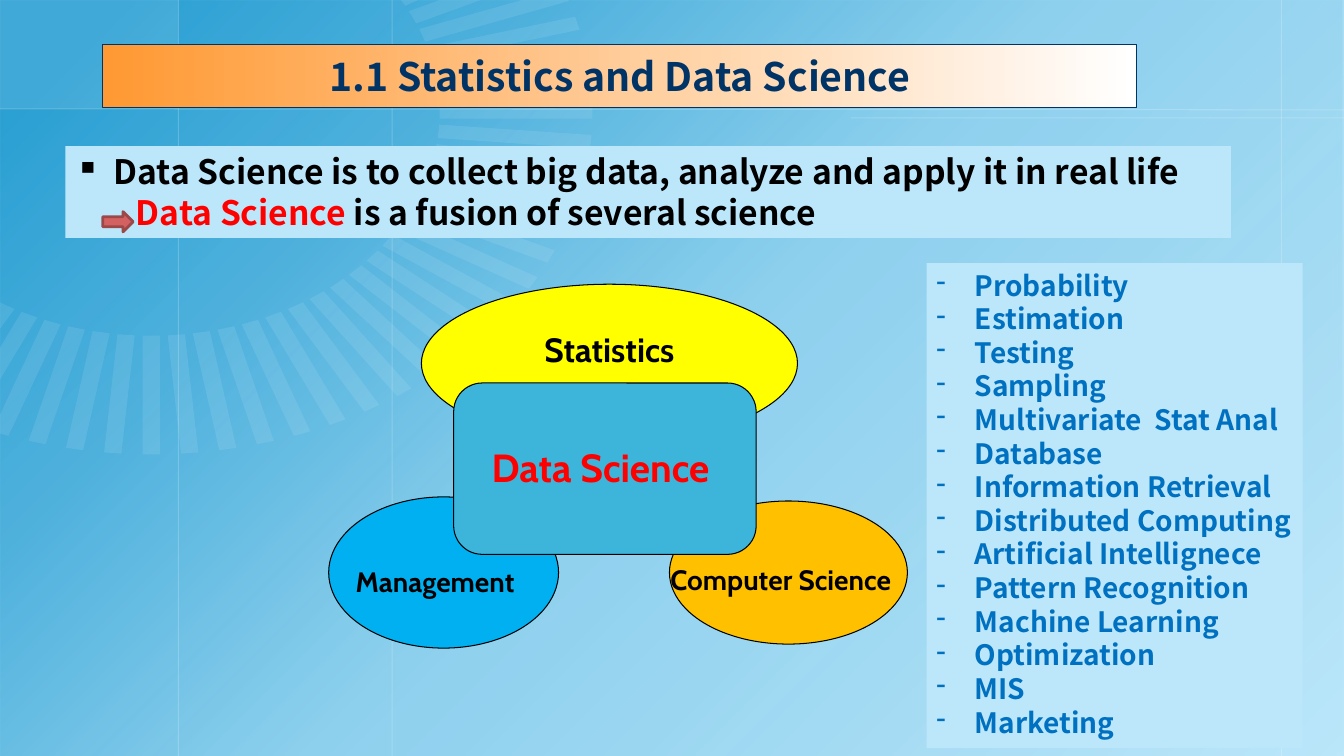
"""Build the slide on statistics and data science."""
import math

import pptx
import pptx.dml.color
import pptx.enum.shapes
import pptx.enum.text
import pptx.oxml
import pptx.oxml.ns
import pptx.util

Inches = pptx.util.Inches
Pt = pptx.util.Pt
SHAPE = pptx.enum.shapes.MSO_SHAPE
ALIGN = pptx.enum.text.PP_ALIGN
ANCHOR = pptx.enum.text.MSO_ANCHOR

THEME = {
    "pale": "BCE7FA", "deep": "0F92CC", "ray": "F2FAFE", "white": "FFFFFF",
    "black": "000000", "red": "FF0000", "navy": "003366", "blue": "0070C0",
    "orange": "FF9933", "yellow": "FFFF00", "sky": "00B0F0", "gold": "FFC000",
    "teal": "3DB5DB", "rose": "D36161", "wine": "9C4848",
    "sans": "Noto Sans CJK KR", "round": "Cabin",
    "big": 28, "mid": 24, "small": 20, "hair": 0.75,
}
WIDE, HIGH = 13.33, 7.5

TITLE = "1.1 Statistics and Data Science"
CLAIM = "Data Science is to collect big data, analyze and apply it in real life"
FUSION = [("Data Science ", "red"), ("is a fusion of several science", "black")]
TOPICS = [
    "Probability", "Estimation", "Testing", "Sampling",
    "Multivariate  Stat Anal", "Database", "Information Retrieval",
    "Distributed Computing", "Artificial Intellignece",
    "Pattern Recognition", "Machine Learning", "Optimization", "MIS",
    "Marketing",
]
FIELDS = [
    (SHAPE.OVAL, (4.18, 2.82, 3.73, 1.57), "yellow"),
    (SHAPE.OVAL, (3.26, 4.93, 2.28, 1.5), "sky"),
    (SHAPE.OVAL, (6.64, 4.97, 2.36, 1.42), "gold"),
    (SHAPE.ROUNDED_RECTANGLE, (4.5, 3.8, 3, 1.7), "teal"),
]
LABELS = [
    ("Statistics", (4.86, 3.21, 2.37, 0.5), "mid", "black", ALIGN.CENTER),
    ("Data Science", (4.5, 4.35, 2.91, 0.57), "big", "red", ALIGN.CENTER),
    ("Management", (3.43, 5.55, 2.02, 0.44), "small", "black", ALIGN.LEFT),
    ("Computer Science", (6.55, 5.53, 2.71, 0.44), "small", "black", ALIGN.LEFT),
]
GUIDES = [(x, 0, x, HIGH) for x in (1.77, 12.71, 3.89)] + [
    (0, 1.08, WIDE, 1.09), (8.44, 1.17, WIDE, 1.17)]
HUB, RADII = (1.5, 1.11), (2.86, 2.22)
REACH, HALF = 1.53, 0.03
ANGLES = [*range(-30, 15, 5), *range(25, 125, 5)]


def tint(name):
    return pptx.dml.color.RGBColor.from_string(THEME[name])


def fade(shape, alpha):
    for color in shape.element.spPr.iter(pptx.oxml.ns.qn("a:srgbClr")):
        color.append(pptx.oxml.parse_xml(
            f'<a:alpha {pptx.oxml.ns.nsdecls("a")} val="{alpha * 1000}"/>'))


def dress(shape, fill=None, line=None, width=THEME["hair"]):
    shape.shadow.inherit = False
    if fill:
        shape.fill.solid()
        shape.fill.fore_color.rgb = tint(fill)
    else:
        shape.fill.background()
    if line:
        shape.line.color.rgb = tint(line)
        shape.line.width = Pt(width)
    else:
        shape.line.fill.background()
    return shape


def block(slide, kind, box, *look):
    return dress(slide.shapes.add_shape(kind, *map(Inches, box)), *look)


def blend(shape, stops, angle):
    marks = "".join(
        f'<a:gs pos="{pos * 1000}"><a:srgbClr val="{THEME[name]}">'
        f'<a:alpha val="{alpha * 1000}"/></a:srgbClr></a:gs>'
        for pos, name, alpha in stops)
    props = shape.element.spPr
    props.replace(props.find(pptx.oxml.ns.qn("a:noFill")), pptx.oxml.parse_xml(
        f'<a:gradFill {pptx.oxml.ns.nsdecls("a")} rotWithShape="1"><a:gsLst>'
        f'{marks}</a:gsLst><a:lin ang="{angle * 60000}" scaled="0"/></a:gradFill>'))


def style(para, face, size, color, align=ALIGN.LEFT):
    para.alignment = align
    for run in para.runs:
        run.font.name = THEME[face]
        run.font.size = Pt(THEME[size])
        run.font.bold = True
        run.font.color.rgb = tint(color)


def indent(para, left, mark=None):
    props = para._p.get_or_add_pPr()
    props.set("marL", str(Inches(left)))
    props.set("indent", str(Inches(-left if mark else 0)))
    if mark:
        props.append(pptx.oxml.parse_xml(
            f'<a:buChar {pptx.oxml.ns.nsdecls("a")} char="{mark}"/>'))


def trim(points, axis):
    kept = []
    for start, end in zip(points, points[1:] + points[:1]):
        if start[axis] >= 0:
            kept.append(start)
        if (start[axis] >= 0) != (end[axis] >= 0):
            part = start[axis] / (start[axis] - end[axis])
            kept.append(tuple(a + part * (b - a) for a, b in zip(start, end)))
    return kept


def draw_ray(slide, angle):
    cos, sin = math.cos(math.radians(angle)), math.sin(math.radians(angle))
    points = [
        (HUB[0] + RADII[0] * (far * cos - side * sin),
         HUB[1] + RADII[1] * (far * sin + side * cos))
        for far, side in ((1, -HALF), (REACH, -HALF), (REACH, HALF), (1, HALF))]
    points = trim(trim(points, 0), 1)
    first, *rest = [tuple(map(Inches, point)) for point in points]
    path = slide.shapes.build_freeform(*first)
    path.add_line_segments(rest, close=True)
    fade(dress(path.convert_to_shape(), "ray"), 10)


def draw_back(slide):
    slide.background.fill.solid()
    slide.background.fill.fore_color.rgb = tint("pale")
    wash = block(slide, SHAPE.RECTANGLE, (0, 0, WIDE, HIGH))
    blend(wash, [(6, "deep", 83), (26, "deep", 63), (50, "deep", 27),
                 (100, "deep", 0)], 45)
    fade(block(slide, SHAPE.RECTANGLE, (0, 0, 1.77, 1.08), "white"), 10)
    for ends in GUIDES:
        guide = slide.shapes.add_connector(
            pptx.enum.shapes.MSO_CONNECTOR.STRAIGHT, *map(Inches, ends))
        guide.line.color.rgb = tint("white")
        guide.line.width = Pt(THEME["hair"])
        fade(guide, 20)
        guide.element.spPr.append(pptx.oxml.parse_xml(
            f'<a:effectLst {pptx.oxml.ns.nsdecls("a")}/>'))
    for angle in ANGLES:
        draw_ray(slide, angle)


def panel(slide, box, lines, mark, size, color):
    frame = block(slide, SHAPE.RECTANGLE, box, "pale").text_frame
    frame.word_wrap = True
    frame.vertical_anchor = ANCHOR.TOP
    frame.text = "\n".join(lines)
    for para in frame.paragraphs:
        indent(para, 0.38, mark)
        style(para, "sans", size, color)
        para.line_spacing = Pt(THEME[size] * 1.2)
    return frame


def main():
    deck = pptx.Presentation()
    deck.slide_width, deck.slide_height = Inches(WIDE), Inches(HIGH)
    slide = deck.slides.add_slide(deck.slide_layouts[6])
    draw_back(slide)

    claim = panel(slide, (0.65, 1.45, 11.56, 0.91), [CLAIM], "▪", "mid", "black")
    para = claim.add_paragraph()
    indent(para, 0.6)
    for text, _ in FUSION:
        para.add_run().text = text
    style(para, "sans", "mid", "black")
    para.line_spacing = Pt(THEME["mid"] * 1.2)
    for run, (_, color) in zip(para.runs, FUSION):
        run.font.color.rgb = tint(color)

    for kind, box, fill in FIELDS:
        block(slide, kind, box, fill, "black")
    for text, box, size, color, align in LABELS:
        frame = slide.shapes.add_textbox(*map(Inches, box)).text_frame
        frame.word_wrap = True
        frame.text = text
        style(frame.paragraphs[0], "round", size, color, align)

    block(slide, SHAPE.RIGHT_ARROW, (1.02, 2.1, 0.3, 0.2), "rose", "wine", 2)
    panel(slide, (9.19, 2.61, 3.73, 4.81), TOPICS, "-", "small", "blue")

    title = block(slide, SHAPE.RECTANGLE, (1.02, 0.44, 10.25, 0.63), None, "navy")
    blend(title, [(0, "orange", 100), (100, "white", 100)], 0)
    title.text_frame.text = TITLE
    title.text_frame.vertical_anchor = ANCHOR.MIDDLE
    style(title.text_frame.paragraphs[0], "sans", "big", "navy", ALIGN.CENTER)
    deck.save("out.pptx")


if __name__ == "__main__":
    main()
